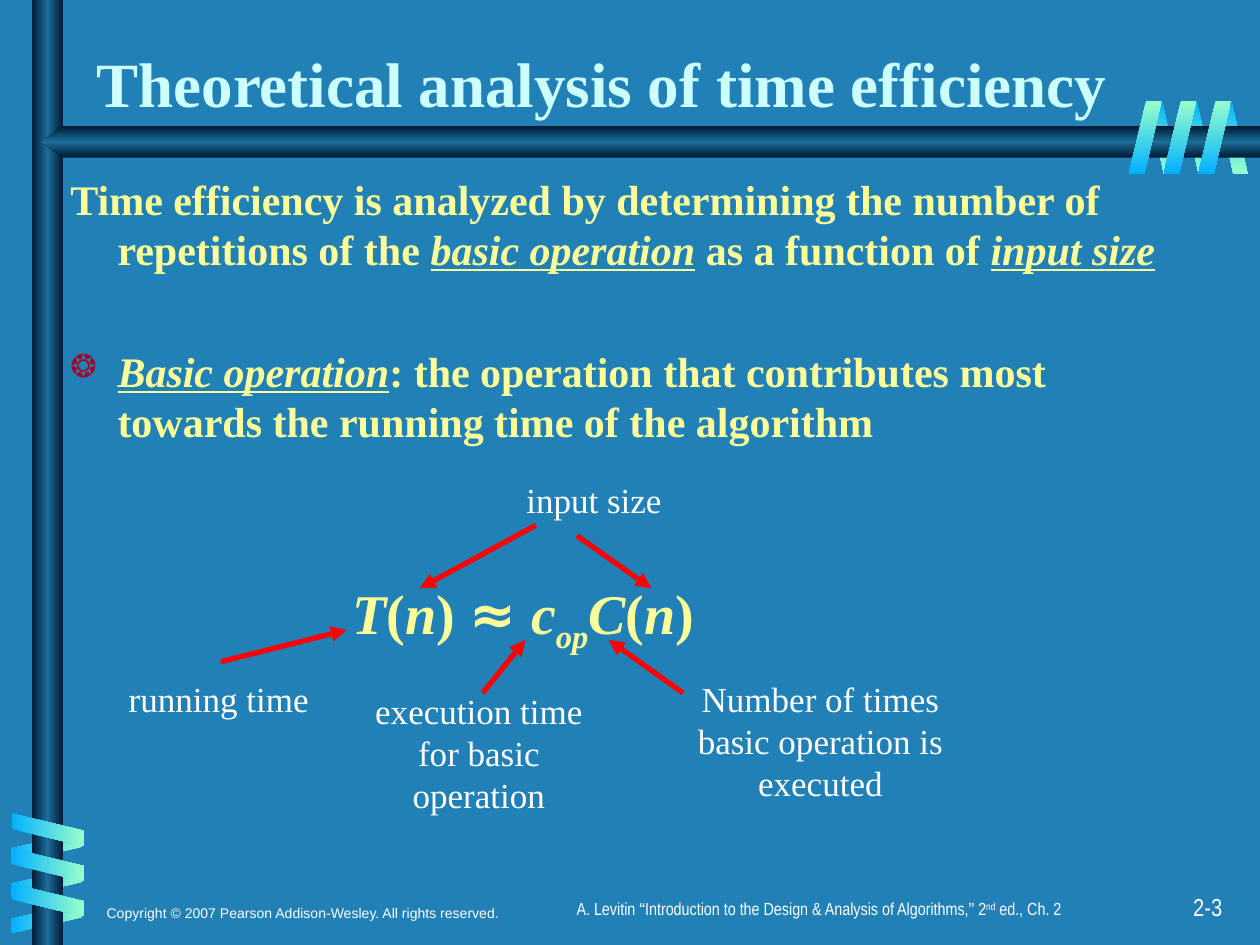
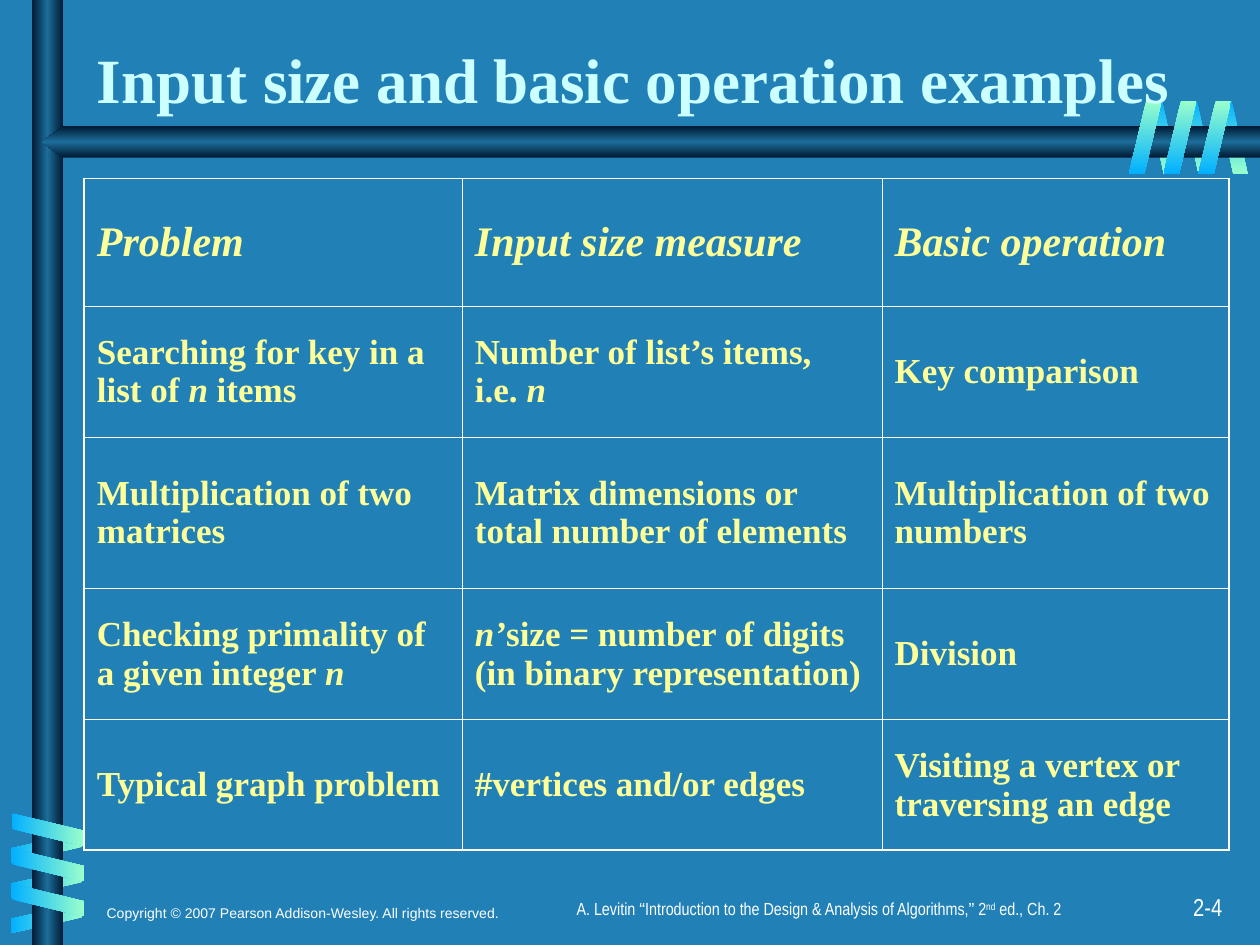
"""Build two lecture slides on the time efficiency of algorithms."""

from dataclasses import dataclass
from typing import NamedTuple, Optional

import pptx
import pptx.dml.color
import pptx.enum.shapes
import pptx.enum.text
import pptx.oxml
import pptx.oxml.ns
import pptx.util

Cm = pptx.util.Cm
Pt = pptx.util.Pt
RGBColor = pptx.dml.color.RGBColor
ALIGN = pptx.enum.text.PP_ALIGN
ANCHOR = pptx.enum.text.MSO_ANCHOR
SHAPE = pptx.enum.shapes.MSO_SHAPE

BLUE = RGBColor(0x21, 0x81, 0xB7)
NAVY = RGBColor(0x00, 0x19, 0x32)
STEEL = RGBColor(0x1C, 0x6D, 0x9A)
SKY = RGBColor(0x01, 0xB0, 0xFF)
MINT = RGBColor(0x99, 0xFF, 0xCC)
ICE = RGBColor(0xCC, 0xFF, 0xFF)
YELLOW = RGBColor(0xFF, 0xFF, 0x99)
WHITE = RGBColor(0xFF, 0xFF, 0xFF)
RED = RGBColor(0xFF, 0x00, 0x00)
CRIMSON = RGBColor(0xA5, 0x00, 0x21)

SERIF, SANS, NARROW = "Times New Roman", "Arial", "Arial Narrow"
BAR = (NAVY, STEEL, NAVY)


class Frame(NamedTuple):
    """Left, top, width and height in centimetres."""
    left: float
    top: float
    width: float
    height: float

    def lengths(self) -> list:
        """Return the four values as slide lengths."""
        return [Cm(value) for value in self]


class Span(NamedTuple):
    """A piece of text with what sets it apart from its paragraph."""
    text: str
    italic: bool = False
    underline: bool = False
    baseline: int = 0
    font: Optional[str] = None
    new_line: bool = False


@dataclass(frozen=True)
class Style:
    """Character and line settings of a text."""
    size: int
    font: str
    color: RGBColor
    bold: bool = False
    spacing: Optional[float] = None


TITLE = Style(36, SERIF, ICE, True)
BODY = Style(24, SERIF, YELLOW, True, 28.6)
FORMULA = Style(32, SERIF, YELLOW, True, 38)
LABEL = Style(20, SERIF, WHITE, spacing=24)
HEADER = Style(24, SERIF, YELLOW, True)
CELL = Style(20, SERIF, YELLOW, True)
NUMBER = Style(14, NARROW, WHITE)
COPYRIGHT = Style(8, SANS, WHITE)
CITATION = Style(10, NARROW, WHITE)


@dataclass(frozen=True)
class Coil:
    """A row of three slanted ribbons."""
    first: Frame
    step_x: float
    step_y: float
    rotation: int
    colors: tuple
    angle: int
    flipped: bool = False


BACK_COILS = (
    Coil(Frame(23.14, 2.03, 0.61, 1.47), 0.7, 0, 180, (SKY, MINT), 90, True),
    Coil(Frame(0.64, 16.36, 0.61, 1.45), 0, 0.71, 90, (MINT, SKY), 0, True),
)
FRONT_COILS = (
    Coil(Frame(0.63, 16, 0.66, 1.45), 0, 0.71, 270, (SKY, MINT), 0),
    Coil(Frame(22.76, 2.03, 0.66, 1.47), 0.7, 0, 0, (MINT, SKY), 90),
)


class Label(NamedTuple):
    """A note beside the formula."""
    frame: Frame
    text: str
    wrap: bool = False


class Arrow(NamedTuple):
    """Start and end of an arrow in centimetres."""
    x1: float
    y1: float
    x2: float
    y2: float


LABELS = (
    Label(Frame(2.34, 13.54, 4.14, 1.12), "running time"),
    Label(Frame(6.76, 13.77, 5.79, 1.96), "execution time\nfor basic operation"),
    Label(Frame(13.34, 13.54, 6.4, 2.79), "Number of times basic operation is executed", True),
    Label(Frame(10.36, 9.53, 3.23, 1.12), "input size"),
)
ARROWS = (
    Arrow(4.45, 13.34, 6.99, 12.7),
    Arrow(9.73, 13.97, 10.59, 12.9),
    Arrow(13.77, 13.97, 12.27, 12.9),
    Arrow(11.63, 10.8, 13.13, 11.86),
    Arrow(10.8, 10.59, 8.46, 11.86),
)
INTRO = (
    Span("Time efficiency is analyzed by determining the number of repetitions of the "),
    Span("basic operation", True, True),
    Span(" as a function of "),
    Span("input size", True, True),
)
DEFINITION = (
    Span("Basic operation", True, True),
    Span(": the operation that contributes most towards the running time of the algorithm"),
)
EQUATION = (
    Span("T", True), Span("("), Span("n", True), Span(") "),
    Span("≈ ", font="Noto Sans"), Span("c", True), Span("op", True, baseline=-25),
    Span("C", True), Span("("), Span("n", True), Span(")"),
)
SOURCE = (
    Span("A. Levitin "), Span("“", font=SANS),
    Span("Introduction to the Design & Analysis of Algorithms,"),
    Span("”", font=SANS), Span(" 2"), Span("nd", baseline=30), Span(" ed., Ch. 2"),
)
COLUMNS = (7.62, 8.46, 6.99)
ROWS = (2.57, 2.64, 3.05, 2.64, 2.64)
EXAMPLES = (
    ((Span("Problem", True),), (Span("Input size measure", True),),
     (Span("Basic operation", True),)),
    ((Span("Searching for key in a list of "), Span("n", True), Span(" items")),
     (Span("Number of list’s items,"), Span("i.e. ", new_line=True), Span("n", True)),
     (Span("Key comparison"),)),
    ((Span("Multiplication of two matrices"),),
     (Span("Matrix dimensions or total number of elements"),),
     (Span("Multiplication of two numbers"),)),
    ((Span("Checking primality of a given integer "), Span("n", True)),
     (Span("n’", True), Span("size = number of digits (in binary representation)")),
     (Span("Division"),)),
    ((Span("Typical graph problem"),), (Span("#vertices and/or edges"),),
     (Span("Visiting a vertex or traversing an edge"),)),
)


def make_xml(tag: str, attributes: str = "", inner: str = ""):
    """Return a drawing element."""
    names = pptx.oxml.ns.nsdecls("a")
    return pptx.oxml.parse_xml(f"<a:{tag} {names} {attributes}>{inner}</a:{tag}>")


def write_spans(para, spans: tuple, style: Style) -> None:
    """Fill a paragraph with spans and format its runs."""
    para.text = spans[0].text
    for span in spans[1:]:
        if span.new_line:
            para.add_line_break()
        para.add_run().text = span.text
    if style.spacing:
        para.line_spacing = Pt(style.spacing)
    for run, span in zip(para.runs, spans):
        font = run.font
        font.size, font.bold = Pt(style.size), style.bold
        font.name = span.font or style.font
        font.color.rgb = style.color
        font.italic, font.underline = span.italic, span.underline
        if span.baseline:
            run._r.get_or_add_rPr().set("baseline", str(span.baseline * 1000))


def add_text(page, frame: Frame, paragraphs: tuple, style: Style, align=ALIGN.LEFT,
             anchor=ANCHOR.TOP, wrap: bool = True):
    """Add a text box and return its text frame."""
    text_frame = page.shapes.add_textbox(*frame.lengths()).text_frame
    text_frame.word_wrap = wrap
    text_frame.vertical_anchor = anchor
    text_frame.text = "\n" * (len(paragraphs) - 1)
    for para, spans in zip(text_frame.paragraphs, paragraphs):
        write_spans(para, spans, style)
        para.alignment = align
    return text_frame


def paint_gradient(shape, colors: tuple, angle: int) -> None:
    """Give a shape an even gradient that stays level, without outline or shadow."""
    last = len(colors) - 1
    stops = "".join(
        f'<a:gs pos="{100000 * index // last}"><a:srgbClr val="{color}"/></a:gs>'
        for index, color in enumerate(colors))
    inner = f'<a:gsLst>{stops}</a:gsLst><a:lin ang="{angle * 60000}" scaled="0"/>'
    shape.element.spPr.append(make_xml("gradFill", 'rotWithShape="0"', inner))
    shape.line.fill.background()
    shape.shadow.inherit = False


def add_coil(page, coil: Coil) -> None:
    """Draw the three ribbons of a coil."""
    for index in range(3):
        frame = coil.first._replace(left=coil.first.left + index * coil.step_x,
                                    top=coil.first.top + index * coil.step_y)
        ribbon = page.shapes.add_shape(SHAPE.PARALLELOGRAM, *frame.lengths())
        ribbon.adjustments[0] = 0.53
        ribbon.rotation = coil.rotation
        if coil.flipped:
            ribbon.element.spPr.xfrm.set("flipH", "1")
        paint_gradient(ribbon, coil.colors, coil.angle)


def add_bars(page) -> None:
    """Draw the upright bar and the pointed bar under the title."""
    upright = page.shapes.add_shape(SHAPE.RECTANGLE, *Frame(0.64, 0, 0.64, 19.05).lengths())
    paint_gradient(upright, BAR, 0)
    outline = page.shapes.build_freeform(Cm(25.4), Cm(2.54))
    corners = ((1.27, 2.54), (0.84, 2.86), (1.27, 3.18), (25.4, 3.18))
    outline.add_line_segments([(Cm(x), Cm(y)) for x, y in corners], close=True)
    paint_gradient(outline.convert_to_shape(), BAR, 90)


def add_page(deck, title: str, title_frame: Frame, number: str):
    """Add a slide with background, ornaments, footers and title."""
    page = deck.slides.add_slide(deck.slide_layouts[6])
    page.background.fill.solid()
    page.background.fill.fore_color.rgb = BLUE
    for coil in BACK_COILS:
        add_coil(page, coil)
    add_bars(page)
    for coil in FRONT_COILS:
        add_coil(page, coil)
    add_text(page, Frame(19.61, 17.86, 5.28, 0.84), ((Span(number),),), NUMBER, ALIGN.RIGHT)
    notice = Span("Copyright © 2007 Pearson Addison-Wesley. All rights reserved.")
    add_text(page, Frame(1.9, 17.22, 10.8, 1.47), ((notice,),), COPYRIGHT, anchor=ANCHOR.BOTTOM)
    add_text(page, Frame(7.62, 17.98, 17.78, 0.84), (SOURCE,), CITATION, ALIGN.CENTER)
    add_text(page, title_frame, ((Span(title),),), TITLE, anchor=ANCHOR.BOTTOM)
    return page


def add_arrow(page, arrow: Arrow) -> None:
    """Draw a red arrow."""
    line = page.shapes.add_connector(pptx.enum.shapes.MSO_CONNECTOR.STRAIGHT,
                                     *[Cm(value) for value in arrow])
    line.line.color.rgb = RED
    line.line.width = Pt(3)
    line.line._get_or_add_ln().append(make_xml("tailEnd", 'type="triangle"'))
    line.element.spPr.append(make_xml("effectLst"))


def add_body(page) -> None:
    """Write the statement and the bulleted definition."""
    body = add_text(page, Frame(1.17, 3.38, 23.06, 7), (INTRO, DEFINITION), BODY)
    for para in body.paragraphs:
        properties = para._p.get_or_add_pPr()
        properties.set("marL", str(Cm(0.95)))
        properties.set("indent", str(Cm(-0.95)))
    definition = body.paragraphs[1]
    definition.space_before = Pt(41)
    properties = definition._p.get_or_add_pPr()
    properties.append(make_xml("buClr", inner=f'<a:srgbClr val="{CRIMSON}"/>'))
    properties.append(make_xml("buSzPct", 'val="75000"'))
    properties.append(make_xml("buChar", 'char="❂"'))


def add_examples(page) -> None:
    """Add the table of problems, size measures and operations."""
    frame = Frame(1.7, 3.6, sum(COLUMNS), sum(ROWS))
    table = page.shapes.add_table(len(ROWS), len(COLUMNS), *frame.lengths()).table
    table.first_row = table.horz_banding = False
    for column, width in zip(table.columns, COLUMNS):
        column.width = Cm(width)
    for i, (height, texts) in enumerate(zip(ROWS, EXAMPLES)):
        table.rows[i].height = Cm(height)
        for j, spans in enumerate(texts):
            cell = table.cell(i, j)
            cell.vertical_anchor = ANCHOR.MIDDLE
            write_spans(cell.text_frame.paragraphs[0], spans, CELL if i else HEADER)
            outer = {"lnL": j == 0, "lnR": j == len(COLUMNS) - 1,
                     "lnT": i == 0, "lnB": i == len(ROWS) - 1}
            for side, at_edge in outer.items():
                inner = f'<a:solidFill><a:srgbClr val="{WHITE}"/></a:solidFill>'
                width = Pt(1.08 if at_edge else 0.45)
                cell._tc.get_or_add_tcPr().append(make_xml(side, f'w="{width}"', inner))
            cell.fill.background()


def main() -> None:
    """Build and save the deck."""
    deck = pptx.Presentation()
    deck.slide_width, deck.slide_height = Cm(25.4), Cm(19.05)
    page = add_page(deck, "Theoretical analysis of time efficiency",
                    Frame(1.7, 0.64, 21.08, 1.9), "2-3")
    add_body(page)
    add_text(page, Frame(6.86, 11.73, 8, 1.6), (EQUATION,), FORMULA, wrap=False)
    for label in LABELS:
        lines = tuple((Span(line),) for line in label.text.split("\n"))
        add_text(page, label.frame, lines, LABEL, ALIGN.CENTER, wrap=label.wrap)
    for arrow in ARROWS:
        add_arrow(page, arrow)
    page = add_page(deck, "Input size and basic operation examples",
                    Frame(1.7, 0.56, 23.7, 1.9), "2-4")
    add_examples(page)
    deck.save("out.pptx")


if __name__ == "__main__":
    main()
